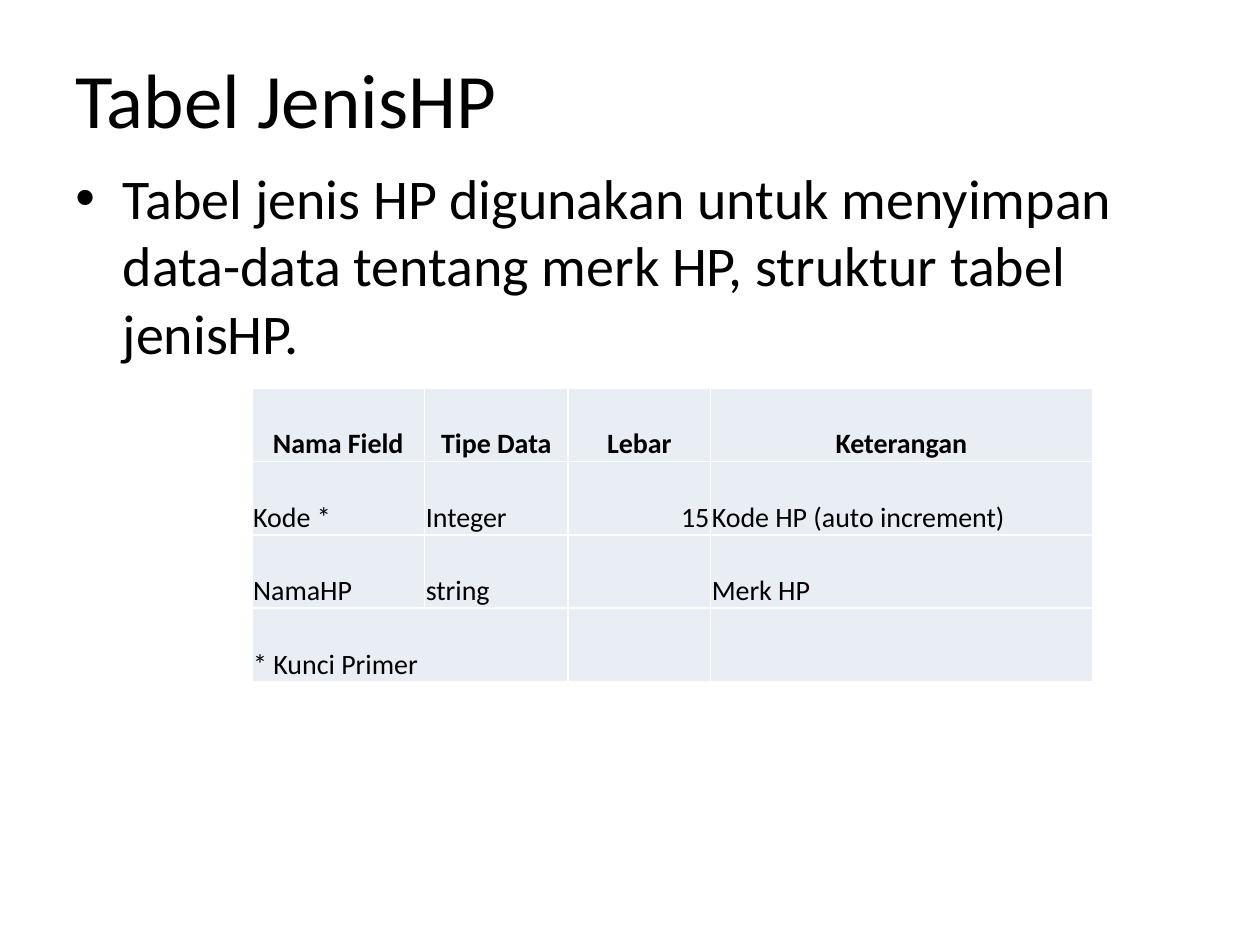
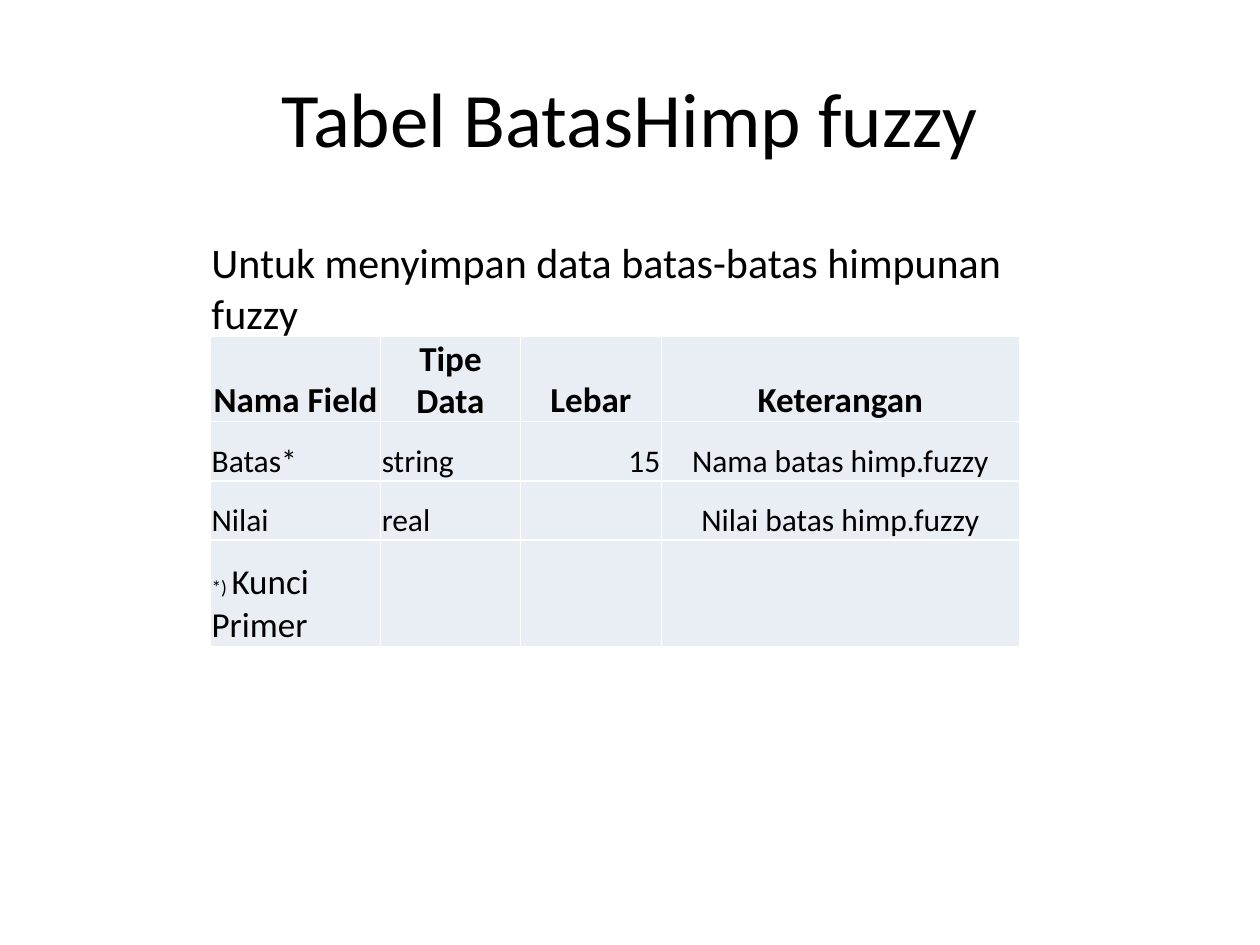
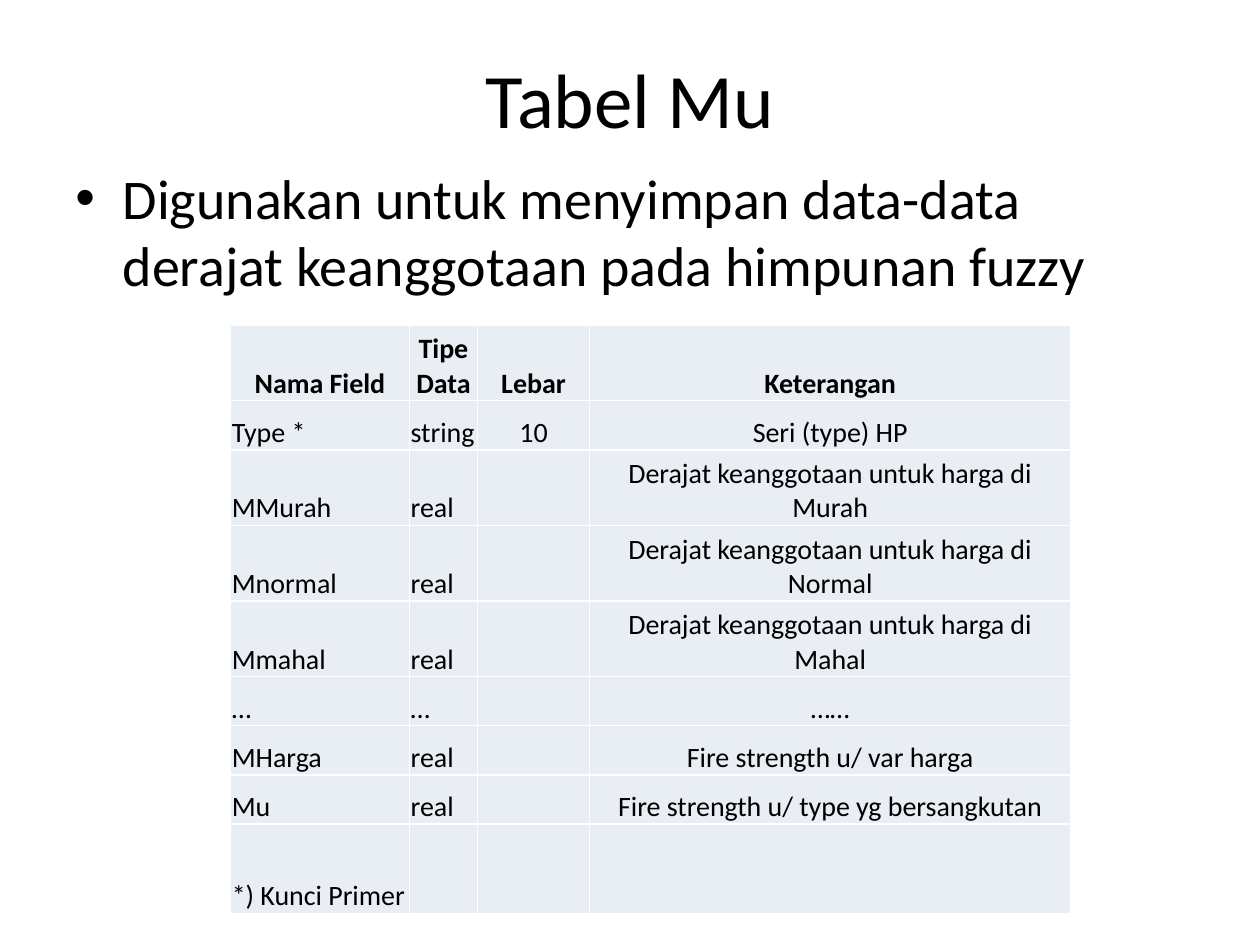
from lxml.etree import SubElement
from pptx import Presentation
from pptx.dml.color import RGBColor
from pptx.enum.text import MSO_ANCHOR as Anchor, PP_ALIGN as Align
from pptx.oxml.ns import qn
from pptx.util import Inches, Pt

COLORS = {"text": "000000", "cell": "E9EDF4", "border": "FFFFFF"}
FONT = "Calibri"
ALIGN = {"l": Align.LEFT, "c": Align.CENTER, "r": Align.RIGHT}
HEADINGS = ["Nama Field", "Tipe Data", "Lebar", "Keterangan"]
BULLET_AREA = (0.5, 1.25, 9, 5.45)
BULLET_INDENT = Pt(27)

SLIDES = [
    {
        "title": "Tabel JenisHP", "title_align": "l", "title_height": 0.95,
        "intro": "Tabel jenis HP digunakan untuk menyimpan data-data tentang "
                 "merk HP, struktur tabel jenisHP.",
        "intro_area": BULLET_AREA, "intro_size": 32, "bullet": True,
        "table_at": (2, 3.08), "columns": [1.37, 1.14, 1.13, 3.03],
        "row_heights": [2.33 / 4] * 4, "aligns": "llrl",
        "heading_size": 16, "cell_size": 16,
        "rows": [
            ["Kode *", "Integer", "15", "Kode HP (auto increment)"],
            ["NamaHP", "string", "", "Merk HP"],
            ["* Kunci Primer", "", "", ""],
        ],
        "merge": ((3, 0), (3, 1)),
    },
    {
        "title": "Tabel BatasHimp fuzzy", "title_align": "c", "title_height": 1.25,
        "intro": "Untuk menyimpan data batas-batas himpunan fuzzy",
        "intro_area": (1.58, 1.83, 7.08, 0.91), "intro_size": 24, "bullet": False,
        "table_at": (1.67, 2.67), "columns": [1.35, 1.11, 1.12, 2.84],
        "row_heights": [0.47, 0.47, 0.47, 0.85], "aligns": "llrc",
        "heading_size": 20, "cell_size": 18,
        "rows": [
            ["Batas*", "string", "15", "Nama batas himp.fuzzy"],
            ["Nilai", "real", "", "Nilai batas himp.fuzzy"],
            [[("*) ", 11), ("Kunci Primer", 20)], "", "", ""],
        ],
    },
    {
        "title": "Tabel Mu", "title_align": "c", "title_height": 0.95,
        "intro": "Digunakan untuk menyimpan data-data derajat keanggotaan pada "
                 "himpunan fuzzy",
        "intro_area": BULLET_AREA, "intro_size": 32, "bullet": True,
        "table_at": (1.83, 2.58), "columns": [1.42, 0.54, 0.89, 3.82],
        "row_heights": [0.6, 0.39, 0.6, 0.6, 0.6, 0.39, 0.39, 0.39, 0.71],
        "aligns": "llcc", "heading_size": 16, "cell_size": 16,
        "rows": [
            ["Type *", "string", "10", "Seri (type) HP"],
            ["MMurah", "real", "", "Derajat keanggotaan untuk harga di Murah"],
            ["Mnormal", "real", "", "Derajat keanggotaan untuk harga di Normal"],
            ["Mmahal", "real", "", "Derajat keanggotaan untuk harga di Mahal"],
            ["…", "…", "", "……"],
            ["MHarga", "real", "", "Fire strength u/ var harga"],
            ["Mu", "real", "", "Fire strength u/ type yg bersangkutan"],
            ["*) Kunci Primer", "", "", ""],
        ],
    },
]


def add_span(para, text, size, bold=False):
    span = para.add_run()
    span.text = text
    span.font.name = FONT
    span.font.size = Pt(size)
    span.font.bold = bold
    span.font.color.rgb = RGBColor.from_string(COLORS["text"])


def add_text(page, area, text, size, align="l", anchor=Anchor.TOP):
    box = page.shapes.add_textbox(*map(Inches, area))
    box.text_frame.word_wrap = True
    box.text_frame.vertical_anchor = anchor
    para = box.text_frame.paragraphs[0]
    para.alignment = ALIGN[align]
    add_span(para, text, size)
    return para


def add_bullet(para, size):
    para.space_before = Pt(size * 0.2)
    props = para._p.get_or_add_pPr()
    props.set("marL", str(BULLET_INDENT))
    props.set("indent", str(-BULLET_INDENT))
    SubElement(props, qn("a:buFont"), typeface="Arial")
    SubElement(props, qn("a:buChar"), char="•")


def style_cell(cell):
    cell.margin_left = cell.margin_right = cell.margin_top = Inches(0.01)
    cell.margin_bottom = 0
    cell.vertical_anchor = Anchor.BOTTOM
    props = cell._tc.get_or_add_tcPr()
    for side in ("lnL", "lnR", "lnT", "lnB"):
        line = SubElement(props, qn("a:" + side), w=str(Pt(1)))
        fill = SubElement(line, qn("a:solidFill"))
        SubElement(fill, qn("a:srgbClr"), val=COLORS["border"])
    cell.fill.solid()
    cell.fill.fore_color.rgb = RGBColor.from_string(COLORS["cell"])


def add_field_table(page, item):
    columns, heights = item["columns"], item["row_heights"]
    rows = [HEADINGS] + item["rows"]
    size = (sum(columns), sum(heights))
    frame = page.shapes.add_table(len(rows), len(columns),
                                  *map(Inches, item["table_at"] + size))
    table = frame.table
    table.first_row = table.horz_banding = False
    for column, width in zip(table.columns, columns):
        column.width = Inches(width)
    for row, height in zip(table.rows, heights):
        row.height = Inches(height)
    for r, values in enumerate(rows):
        heading = r == 0
        text_size = item["heading_size"] if heading else item["cell_size"]
        for c, value in enumerate(values):
            cell = table.cell(r, c)
            style_cell(cell)
            if not value:
                continue
            para = cell.text_frame.paragraphs[0]
            para.alignment = ALIGN["c" if heading else item["aligns"][c]]
            parts = [(value, text_size)] if isinstance(value, str) else value
            for text, part_size in parts:
                add_span(para, text, part_size, heading)
    if "merge" in item:
        first, last = item["merge"]
        table.cell(*first).merge(table.cell(*last))


deck = Presentation()
deck.slide_width, deck.slide_height = Inches(10), Inches(7.5)
for item in SLIDES:
    page = deck.slides.add_slide(deck.slide_layouts[6])
    add_text(page, (0.5, 0.3, 9, item["title_height"]), item["title"], 44,
             item["title_align"], Anchor.MIDDLE)
    intro = add_text(page, item["intro_area"], item["intro"], item["intro_size"])
    if item["bullet"]:
        add_bullet(intro, item["intro_size"])
    add_field_table(page, item)
deck.save("out.pptx")
